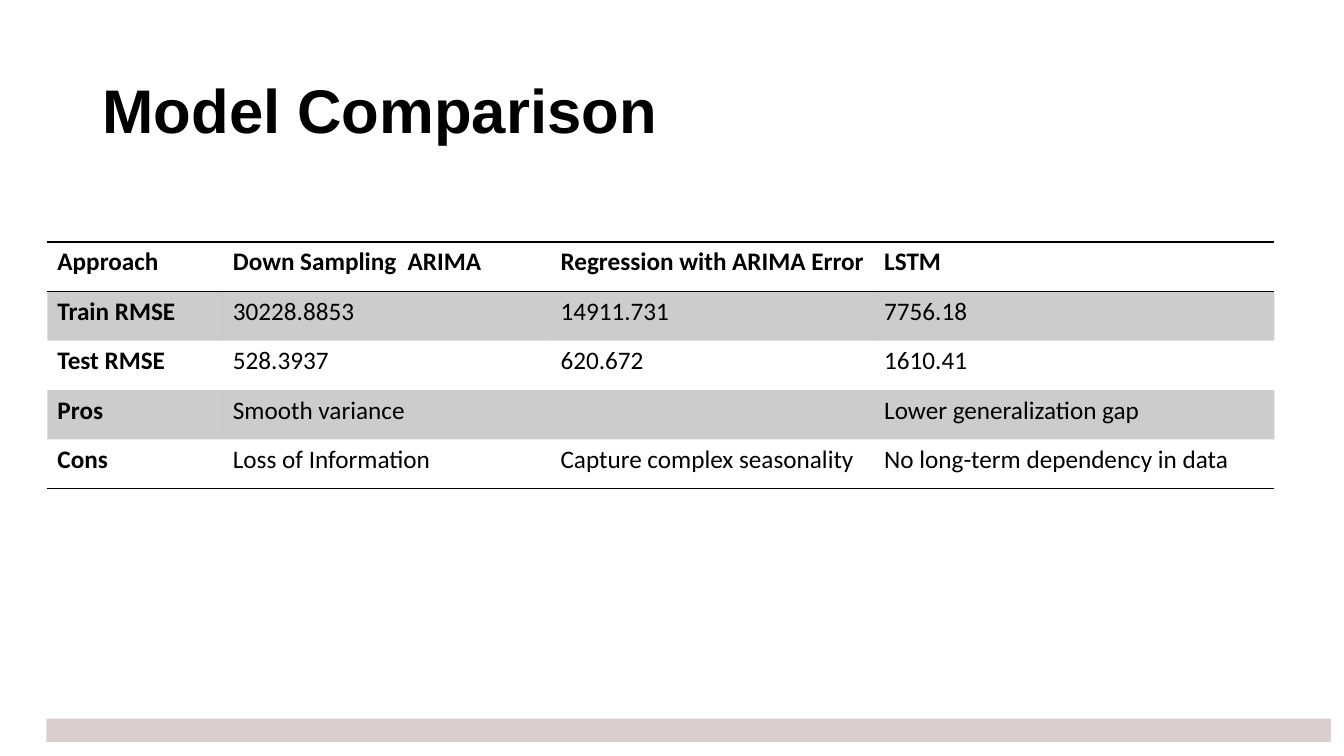
import pptx
import pptx.dml.color
import pptx.enum.shapes
import pptx.enum.text
import pptx.oxml.ns
import pptx.util
from lxml import etree

Inches = pptx.util.Inches
Pt = pptx.util.Pt
qn = pptx.oxml.ns.qn

theme = {
    "ink": "000000",
    "bar": "DBCFCE",
    "band": 20,  # opacity of shaded rows, percent
    "title": {"name": "Arial", "size": Pt(44), "bold": True},
    "body": {"name": "Calibri", "size": Pt(18)},
}


def rgb(code):
    return pptx.dml.color.RGBColor.from_string(code)


def style(font, looks):
    for key, value in looks.items():
        setattr(font, key, value)
    font.color.rgb = rgb(theme["ink"])


deck = pptx.Presentation()
deck.slide_width = Inches(13.33)
deck.slide_height = Inches(7.5)
slide = deck.slides.add_slide(deck.slide_layouts[6])

# Title
title = slide.shapes.add_textbox(Inches(0.92), Inches(0.4), Inches(11.5), Inches(1.45))
frame = title.text_frame
frame.word_wrap = True
frame.vertical_anchor = pptx.enum.text.MSO_ANCHOR.MIDDLE
para = frame.paragraphs[0]
para.line_spacing = 0.9
run = para.add_run()
run.text = "Model Comparison"
style(run.font, theme["title"])

# Footer bar
bar = slide.shapes.add_shape(
    pptx.enum.shapes.MSO_SHAPE.RECTANGLE,
    Inches(0.46), Inches(7.13), Inches(12.74), Inches(0.23))
bar.shadow.inherit = False
bar.fill.solid()
bar.fill.fore_color.rgb = rgb(theme["bar"])
bar.line.fill.background()

# Comparison table
rows = [
    ["Approach", "Down Sampling  ARIMA", "Regression with ARIMA Error", "LSTM"],
    ["Train RMSE", "30228.8853", "14911.731", "7756.18"],
    ["Test RMSE", "528.3937", "620.672", "1610.41"],
    ["Pros", "Smooth variance", "", "Lower generalization gap"],
    ["Cons", "Loss of Information", "Capture complex seasonality",
     "No long-term dependency in data"],
]
widths = [1.74, 3.25, 3.21, 3.97]
edges = {0: ["a:lnT", "a:lnB"], len(rows) - 1: ["a:lnB"]}

holder = slide.shapes.add_table(
    len(rows), len(widths), Inches(0.47), Inches(2.4), Inches(12.18), Inches(2.44))
table = holder.table
table.first_row = False
table.horz_banding = False
# Plain table style: no grid, no fill
plain = next(holder.element.iter(qn("a:tableStyleId")))
plain.text = "{2D5ABB26-0587-4C30-8999-92F81FD0307C}"
for col, width in zip(table.columns, widths):
    col.width = Inches(width)

for r, texts in enumerate(rows):
    table.rows[r].height = Inches(0.49)
    for c, text in enumerate(texts):
        cell = table.cell(r, c)
        para = cell.text_frame.paragraphs[0]
        style(para.font, theme["body"])
        if text:
            run = para.add_run()
            run.text = text
            style(run.font, theme["body"] | {"bold": r == 0 or c == 0})

        # Shade every other row
        if r % 2:
            cell.fill.solid()
            cell.fill.fore_color.rgb = rgb(theme["ink"])
            tint = next(cell.fill.fore_color and props for props in
                        cell.text_frame._txBody.getparent().iter(qn("a:tcPr")))
            shade = tint.find(qn("a:solidFill"))[0]
            etree.SubElement(shade, qn("a:alpha"), val=str(theme["band"] * 1000))
        else:
            cell.fill.background()

        # Rules above and below the header and under the last row
        props = next(cell.text_frame._txBody.getparent().iter(qn("a:tcPr")))
        for i, edge in enumerate(edges.get(r, [])):
            line = etree.Element(qn(edge), w=str(Pt(1)))
            solid = etree.SubElement(line, qn("a:solidFill"))
            etree.SubElement(solid, qn("a:srgbClr"), val=theme["ink"])
            props.insert(i, line)

deck.save("out.pptx")
